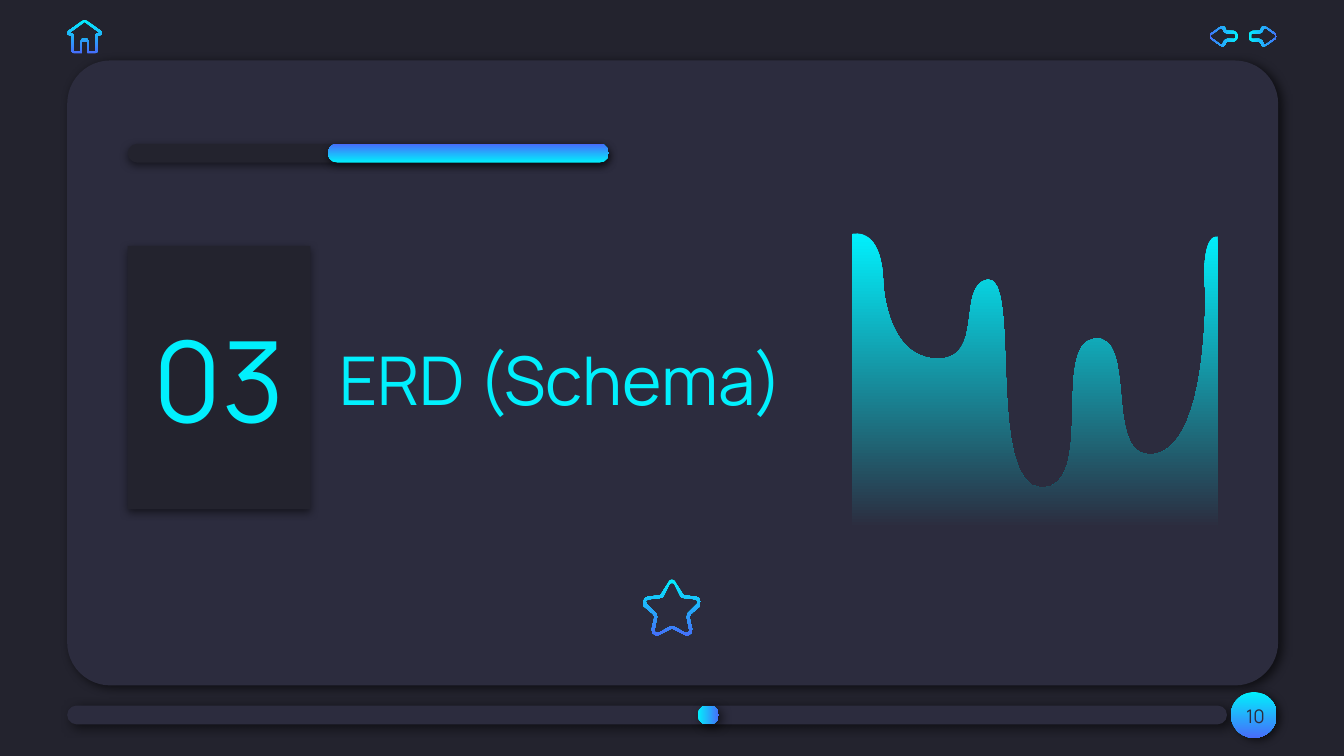
"""Build the dark section slide "03 ERD (Schema)" with its progress bars, icons and wave."""
from lxml.etree import SubElement
from pptx import Presentation
from pptx.dml.color import RGBColor
from pptx.enum.shapes import MSO_SHAPE
from pptx.enum.text import MSO_ANCHOR, PP_ALIGN
from pptx.oxml.ns import qn
from pptx.util import Inches, Pt

NIGHT = RGBColor(0x23, 0x23, 0x2E)
PANEL = RGBColor(0x2C, 0x2C, 0x3E)
CYAN = RGBColor(0x01, 0xF0, 0xFD)
BLUE = RGBColor(0x47, 0x6D, 0xFA)
BLACK = RGBColor(0, 0, 0)

RIGHTWARD, UPWARD, LEFTWARD, DOWNWARD = 0, 90, 180, 270
DEEP_SHADOW = (60, 5.6, 2.2, 33)
BADGE_SHADOW = (60, 4.5, 2.2, 33)
SOFT_SHADOW = (50, 4.5, 1.5, 90)


def paint(shape, colours, angle=DOWNWARD, shadow=None):
    shape.line.fill.background()
    shape.shadow.inherit = False
    if len(colours) == 1:
        shape.fill.solid()
        shape.fill.fore_color.rgb = colours[0]
    else:
        shape.fill.gradient()
        shape.fill.gradient_angle = angle
        for stop, colour in zip(shape.fill.gradient_stops, colours):
            stop.color.rgb = colour
    if shadow:
        opacity, blur, distance, direction = shadow
        effects = shape._element.spPr.find(qn("a:effectLst"))
        outer = SubElement(effects, qn("a:outerShdw"), blurRad=str(Pt(blur)), dist=str(Pt(distance)),
                           dir=str(direction * 60000), algn="bl", rotWithShape="0")
        tint = SubElement(outer, qn("a:srgbClr"), val=str(BLACK))
        SubElement(tint, qn("a:alpha"), val=str(opacity * 1000))


def write(shape, text, size=36, colour=CYAN):
    frame = shape.text_frame
    frame.word_wrap = True
    frame.vertical_anchor = MSO_ANCHOR.MIDDLE
    frame.margin_left = frame.margin_right = frame.margin_top = frame.margin_bottom = Inches(0.1)
    paragraph = frame.paragraphs[0]
    paragraph.alignment = PP_ALIGN.CENTER
    run = paragraph.add_run()
    run.text = text
    run.font.name = "Manrope"
    run.font.size = Pt(size)
    run.font.color.rgb = colour


presentation = Presentation()
presentation.slide_width = Inches(10)
presentation.slide_height = Inches(5.625)
cell = presentation.slide_width // 1000
slide = presentation.slides.add_slide(presentation.slide_layouts[6])
slide.background.fill.solid()
slide.background.fill.fore_color.rgb = NIGHT

blocks = [
    (MSO_SHAPE.ROUNDED_RECTANGLE, (50, 45, 901, 465), 0.069, [PANEL], DOWNWARD, DEEP_SHADOW, None),
    (MSO_SHAPE.ROUNDED_RECTANGLE, (50, 525, 863, 14), 0.5, [PANEL], DOWNWARD, DEEP_SHADOW, None),
    (MSO_SHAPE.OVAL, (916, 515, 34, 34), None, [CYAN, BLUE], DOWNWARD, BADGE_SHADOW, None),
    (MSO_SHAPE.RECTANGLE, (95, 183, 136, 196), None, [NIGHT], DOWNWARD, SOFT_SHADOW, "03"),
    (MSO_SHAPE.ROUNDED_RECTANGLE, (519, 525, 16, 14), 0.5, [CYAN, BLUE], RIGHTWARD, DEEP_SHADOW, None),
    (MSO_SHAPE.ROUNDED_RECTANGLE, (95, 107, 358, 14), 0.5, [NIGHT], DOWNWARD, SOFT_SHADOW, None),
    (MSO_SHAPE.ROUNDED_RECTANGLE, (244, 107, 209, 14), 0.5, [CYAN, BLUE], UPWARD, SOFT_SHADOW, None),
]
for preset, box, rounding, colours, angle, shadow, label in blocks:
    shape = slide.shapes.add_shape(preset, *(length * cell for length in box))
    if rounding:
        shape.adjustments[0] = rounding
    paint(shape, colours, angle, shadow)
    if label:
        write(shape, label, size=60)

for box, text, size, colour in [
    ((904, 511, 60, 43), "10", 10, PANEL),
    ((231, 215, 373, 133), "ERD (Schema)", 36, CYAN),
]:
    write(slide.shapes.add_textbox(*(length * cell for length in box)), text, size=size, colour=colour)

home_halves = [
    [(63, 16.3), (74.5, 24.6), (72, 25), (71, 26), (71, 38), (66, 38), (66, 31), (65, 29), (63, 29)],
    [(63, 14.6), (64, 15), (75, 23), (76, 24.5), (75.5, 26), (73, 26.3), (72.6, 38.5), (71, 39.7),
     (65, 39.7), (65, 31), (63, 31)],
]
star_halves = [
    [(500, 434), (501, 434), (502, 435), (506, 443), (507, 444.5), (509, 445), (518, 446), (519.5, 447.5),
     (519, 449), (512, 456), (511, 459), (513, 469), (512.5, 470.5), (511, 471), (510, 471),
     (502, 466.5), (500, 466)],
    [(500, 431), (502, 432), (503, 434), (508, 442), (509, 443), (518, 444), (520, 445), (521.5, 447.5),
     (521, 451), (514, 457), (513, 459), (515, 468), (514.5, 471), (512.5, 472.5), (511, 473),
     (509, 472), (501, 468), (500, 468)],
]
arrow_halves = [
    [(931, 27), (931, 25.5), (932, 25), (937, 25), (939, 24), (940, 22), (940.5, 21), (942, 21),
     (949, 26), (949.5, 27)],
    [(929, 27), (929, 25.5), (930, 24), (932, 23), (937, 23), (938, 22), (938.5, 20.5), (940, 19.3),
     (942, 20), (949, 25), (950, 27)],
]
home = [half + [(126 - x, y) for x, y in half[::-1]] for half in home_halves]
star = [half + [(1000 - x, y) for x, y in half[::-1]] for half in star_halves]
next_arrow = [half + [(x, 54 - y) for x, y in half[::-1]] for half in arrow_halves]
back_arrow = [[(1850 - x, y) for x, y in contour] for contour in next_arrow]

wave_curves = [
    [(896, 175), (896, 199), (896, 210)],
    [(897, 215), (897, 219), (897, 224)],
    [(895, 307), (877, 340), (854, 338)],
    [(822, 337), (846, 248), (814, 252)],
    [(782, 257), (816, 363), (775, 363)],
    [(733, 362), (760, 205), (735, 208)],
    [(711, 212), (734, 269), (696, 267)],
    [(658, 265), (657, 208), (657, 208)],
    [(657, 208), (657, 170), (634, 174)],
]
curve_steps = 16
wave = [(906, 176)]
for first, second, end in wave_curves:
    corners = [wave[-1], first, second, end]
    for step in range(1, curve_steps + 1):
        t = step / curve_steps
        weights = [(1 - t) ** 3, 3 * t * (1 - t) ** 2, 3 * t ** 2 * (1 - t), t ** 3]
        wave.append(tuple(sum(w * corner[axis] for w, corner in zip(weights, corners)) for axis in (0, 1)))
wave += [(634, 393), (906, 393)]

for contours, end_colour, angle in [
    (next_arrow, BLUE, RIGHTWARD),
    (back_arrow, BLUE, LEFTWARD),
    (star, BLUE, DOWNWARD),
    ([wave], PANEL, DOWNWARD),
    (home, BLUE, DOWNWARD),
]:
    outlines = [[(x * cell, y * cell) for x, y in contour] for contour in contours]
    builder = slide.shapes.build_freeform(*outlines[0][0])
    for index, outline in enumerate(outlines):
        if index:
            builder.move_to(*outline[0])
        builder.add_line_segments(outline[1:], close=True)
    paint(builder.convert_to_shape(), [CYAN, end_colour], angle)

presentation.save("out.pptx")
